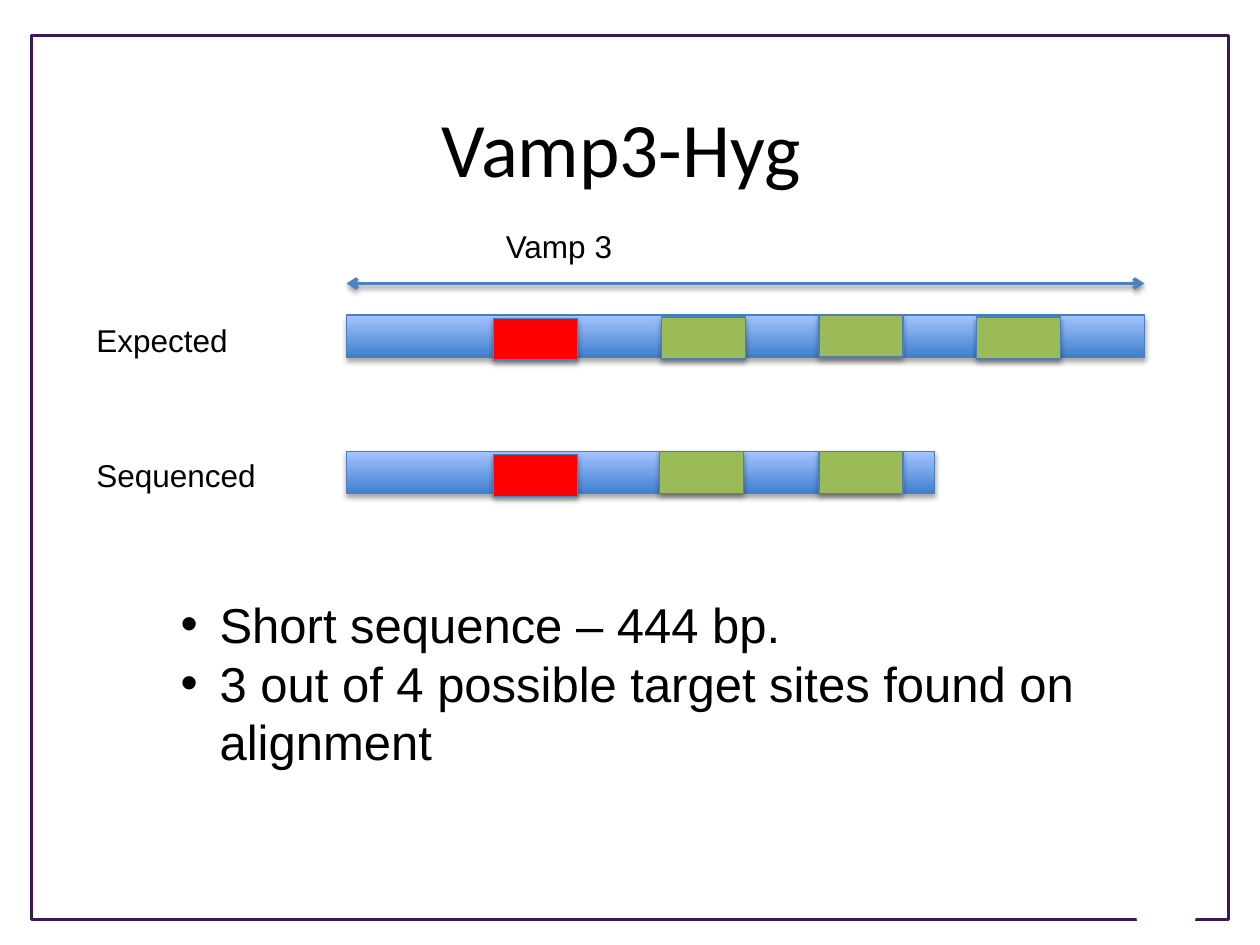
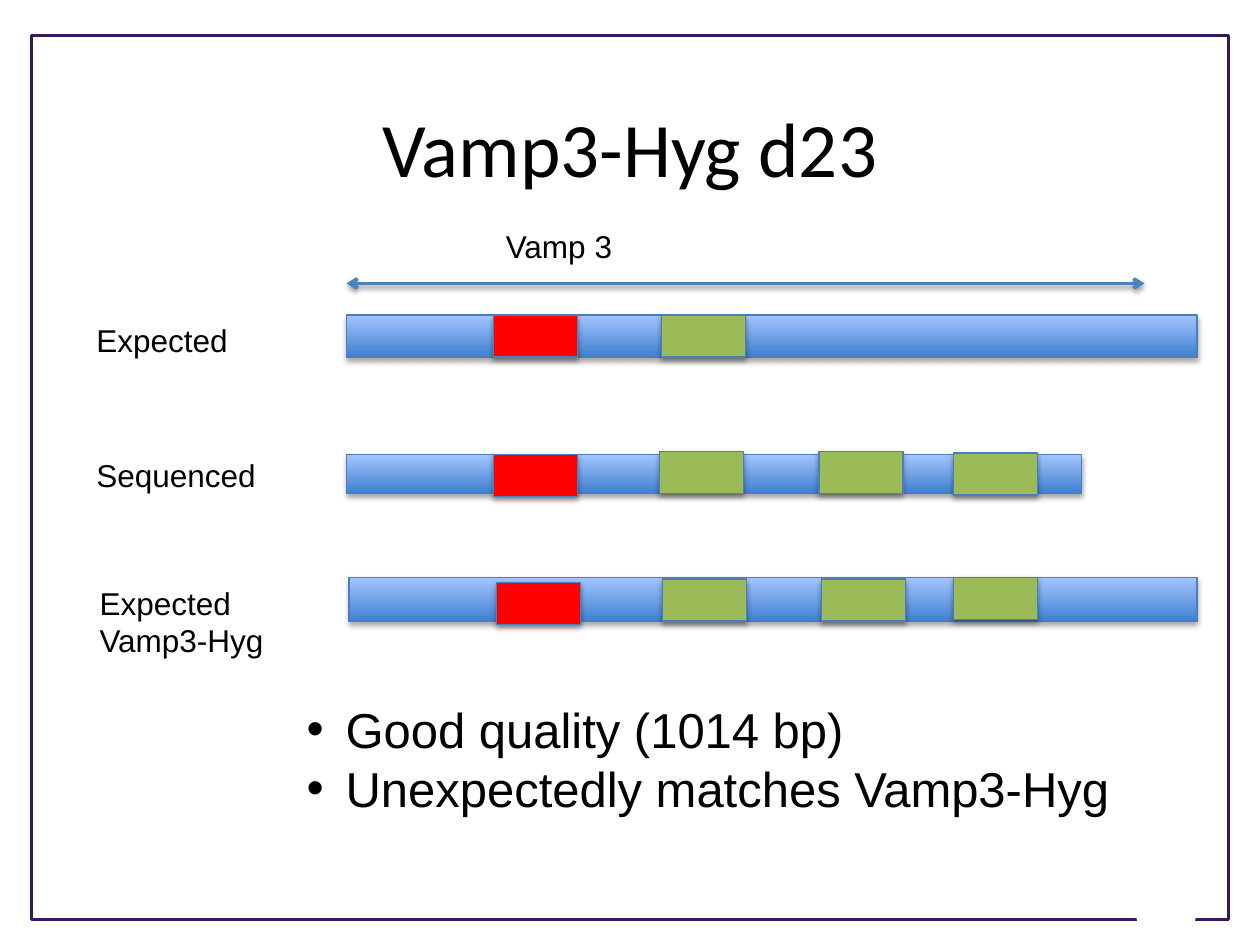
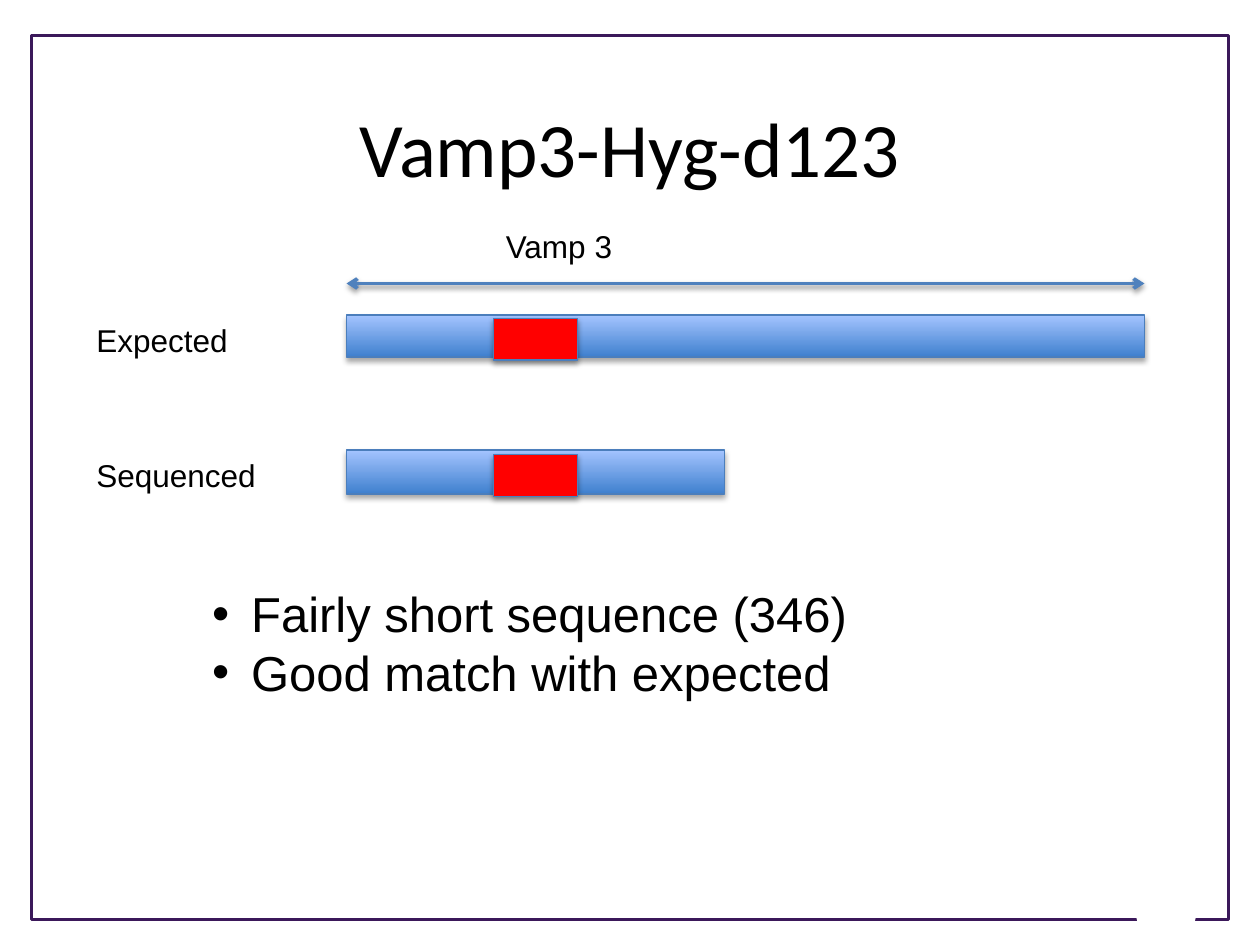
"""Builds three slides comparing expected and sequenced Vamp3 constructs."""
from dataclasses import dataclass

from lxml import etree
from pptx import Presentation
from pptx import util as u
from pptx.dml.color import RGBColor
from pptx.enum import shapes, text
from pptx.oxml.ns import qn


@dataclass(frozen=True)
class Theme:
    """Colours, fonts and type sizes shared by all slides."""
    ink: str = "000000"
    paper: str = "FFFFFF"
    frame: str = "3B185A"
    bar_low: str = "3F80CE"
    bar_high: str = "A4C4FF"
    outline: str = "4B7EBC"
    span: str = "4F81BD"
    marker: str = "FF0000"
    target: str = "9BBB59"
    heading_font: str = "Calibri"
    text_font: str = "Arial"
    heading_size: int = 44
    list_size: int = 28
    label_size: int = 18


class Deck:
    """Holds the theme and current slide on a grid of 120 columns by 90 rows."""
    COLUMNS, ROWS = 120, 90

    def __init__(self, theme):
        """Open an empty 10 by 7.5 inch presentation."""
        self.theme = theme
        self.prs = Presentation()
        self.prs.slide_width, self.prs.slide_height = u.Inches(10), u.Inches(7.5)
        self.slide = None

    def place(self, left, top, width, height):
        """Turn grid columns and rows into slide lengths."""
        across = self.prs.slide_width / self.COLUMNS
        down = self.prs.slide_height / self.ROWS
        return [round(n) for n in (left * across, top * down, width * across, height * down)]

    def move(self, holder, box):
        """Move a placeholder to a grid box."""
        holder.left, holder.top, holder.width, holder.height = self.place(*box)

    def add_words(self, paragraph, words, size, font):
        """Add one run in the ink colour."""
        run = paragraph.add_run()
        run.text = words
        run.font.size, run.font.name = u.Pt(size), font
        run.font.color.rgb = RGBColor.from_string(self.theme.ink)

    def shadow(self, element, opacity, distance):
        """Cast a soft shadow straight down."""
        effects = etree.SubElement(element._element.spPr, qn("a:effectLst"))
        outer = etree.SubElement(effects, qn("a:outerShdw"), blurRad=str(u.Pt(3.1)),
                                 dist=str(u.Pt(distance)), dir="5400000", rotWithShape="0")
        colour = etree.SubElement(outer, qn("a:srgbClr"), val=self.theme.ink)
        etree.SubElement(colour, qn("a:alpha"), val=str(opacity * 1000))

    def stroke(self, line, colour, width):
        """Set a line's colour and width."""
        line.color.rgb = RGBColor.from_string(colour)
        line.width = u.Pt(width)

    def start(self, heading):
        """Add a slide with its frame and title."""
        self.slide = self.prs.slides.add_slide(self.prs.slide_layouts[1])
        kinds = shapes.MSO_SHAPE
        frame = self.slide.shapes.add_shape(kinds.RECTANGLE, *self.place(3, 3.4, 114, 84.2))
        frame.fill.background()
        self.stroke(frame.line, self.theme.frame, 1.75)
        notch = self.slide.shapes.add_shape(kinds.TRAPEZOID, *self.place(107.2, 83.3, 7.7, 5.2))
        notch.rotation = 180
        notch.fill.solid()
        notch.fill.fore_color.rgb = RGBColor.from_string(self.theme.paper)
        notch.line.fill.background()
        for part in (frame, notch):
            part.shadow.inherit = False
        title = self.slide.shapes.title
        self.move(title, (6, 7, 108, 14))
        title.text_frame.vertical_anchor = text.MSO_ANCHOR.MIDDLE
        paragraph = title.text_frame.paragraphs[0]
        paragraph.alignment = text.PP_ALIGN.CENTER
        self.add_words(paragraph, heading, self.theme.heading_size, self.theme.heading_font)

    def block(self, box, colour=None):
        """Draw a shadowed rectangle, with the bar gradient if no colour is given."""
        block = self.slide.shapes.add_shape(shapes.MSO_SHAPE.RECTANGLE, *self.place(*box))
        if colour:
            block.fill.solid()
            block.fill.fore_color.rgb = RGBColor.from_string(colour)
        else:
            block.fill.gradient()
            block.fill.gradient_angle = 90
            shades = (self.theme.bar_low, self.theme.bar_high)
            for stop, shade in zip(block.fill.gradient_stops, shades):
                stop.color.rgb = RGBColor.from_string(shade)
        self.stroke(block.line, self.theme.outline, 0.75)
        self.shadow(block, 35, 1.8)

    def label(self, words, box):
        """Add a wrapped label."""
        frame = self.slide.shapes.add_textbox(*self.place(*box)).text_frame
        frame.word_wrap = True
        self.add_words(frame.paragraphs[0], words, self.theme.label_size, self.theme.text_font)

    def gene_span(self):
        """Draw the labelled double arrow over the gene."""
        left, top, width, _ = self.place(33, 27, 76, 0)
        span = self.slide.shapes.add_connector(
            shapes.MSO_CONNECTOR.STRAIGHT, left, top, left + width, top)
        self.stroke(span.line, self.theme.span, 2)
        outline = span._element.spPr.find(qn("a:ln"))
        for end in ("a:headEnd", "a:tailEnd"):
            etree.SubElement(outline, qn(end), type="arrow")
        self.shadow(span, 38, 1.6)
        self.label("Vamp 3", (47, 21, 24, 4.8))

    def construct(self, name, name_at, bar, marker, targets):
        """Draw one named bar with its marker and target sites."""
        self.block(bar)
        self.block((*marker, 8, 4), self.theme.marker)
        for site in targets:
            self.block((*site, 8, 4), self.theme.target)
        self.label(name, (*name_at, 22, 4.8))

    def findings(self, box, items):
        """Fill the body placeholder with a bulleted list."""
        body = self.slide.placeholders[1]
        self.move(body, box)
        frame = body.text_frame
        frame.auto_size = text.MSO_AUTO_SIZE.NONE
        for index, item in enumerate(items):
            paragraph = frame.add_paragraph() if index else frame.paragraphs[0]
            paragraph.space_before = u.Pt(0)
            props = paragraph._p.get_or_add_pPr()
            props.set("marL", str(u.Inches(0.31)))
            props.set("indent", str(u.Inches(-0.31)))
            etree.SubElement(props, qn("a:buFont"), typeface=self.theme.text_font)
            etree.SubElement(props, qn("a:buChar"), char="•")
            self.add_words(paragraph, item, self.theme.list_size, self.theme.text_font)


EXPECTED = ("Expected", (8, 30))
SEQUENCED = ("Sequenced", (8, 42.85))
SEQUENCED_MARKER = (47, 43.3)
SEQUENCED_TARGETS = [(62.8, 43), (78, 43)]

SLIDES = [
    ("Vamp3-Hyg ",
     [(*EXPECTED, (33, 30, 76, 4), (47, 30.3), [(63, 30.2), (78, 30), (93, 30.2)]),
      (*SEQUENCED, (33, 43, 56, 4), SEQUENCED_MARKER, SEQUENCED_TARGETS)],
     (16, 56, 95, 18.1),
     ["Short sequence – 444 bp.", "3 out of 4 possible target sites found on alignment"]),
    ("Vamp3-Hyg d23",
     [(*EXPECTED, (33, 30, 81, 4), (47, 30), [(63, 30)]),
      (*SEQUENCED, (33, 43.3, 70, 3.7), SEQUENCED_MARKER, SEQUENCED_TARGETS + [(90.8, 43.15)]),
      ("Expected Vamp3-Hyg", (8.3, 55), (33.25, 55, 80.75, 4.2), (47.3, 55.45),
       [(63.1, 55.15), (78.25, 55.15), (90.8, 55)])],
     (28, 66, 83, 12.5),
     ["Good quality (1014 bp)", "Unexpectedly matches Vamp3-Hyg"]),
    ("Vamp3-Hyg-d123",
     [(*EXPECTED, (33, 30, 76, 4), (47, 30.3), []),
      (*SEQUENCED, (33, 42.85, 36, 4.2), SEQUENCED_MARKER, [])],
     (19, 55, 87, 12.5),
     ["Fairly short sequence (346)", "Good match with expected"]),
]


def main():
    """Build every slide and save the deck."""
    deck = Deck(Theme())
    for heading, constructs, list_box, items in SLIDES:
        deck.start(heading)
        deck.gene_span()
        for construct in constructs:
            deck.construct(*construct)
        deck.findings(list_box, items)
    deck.prs.save("out.pptx")


if __name__ == "__main__":
    main()
